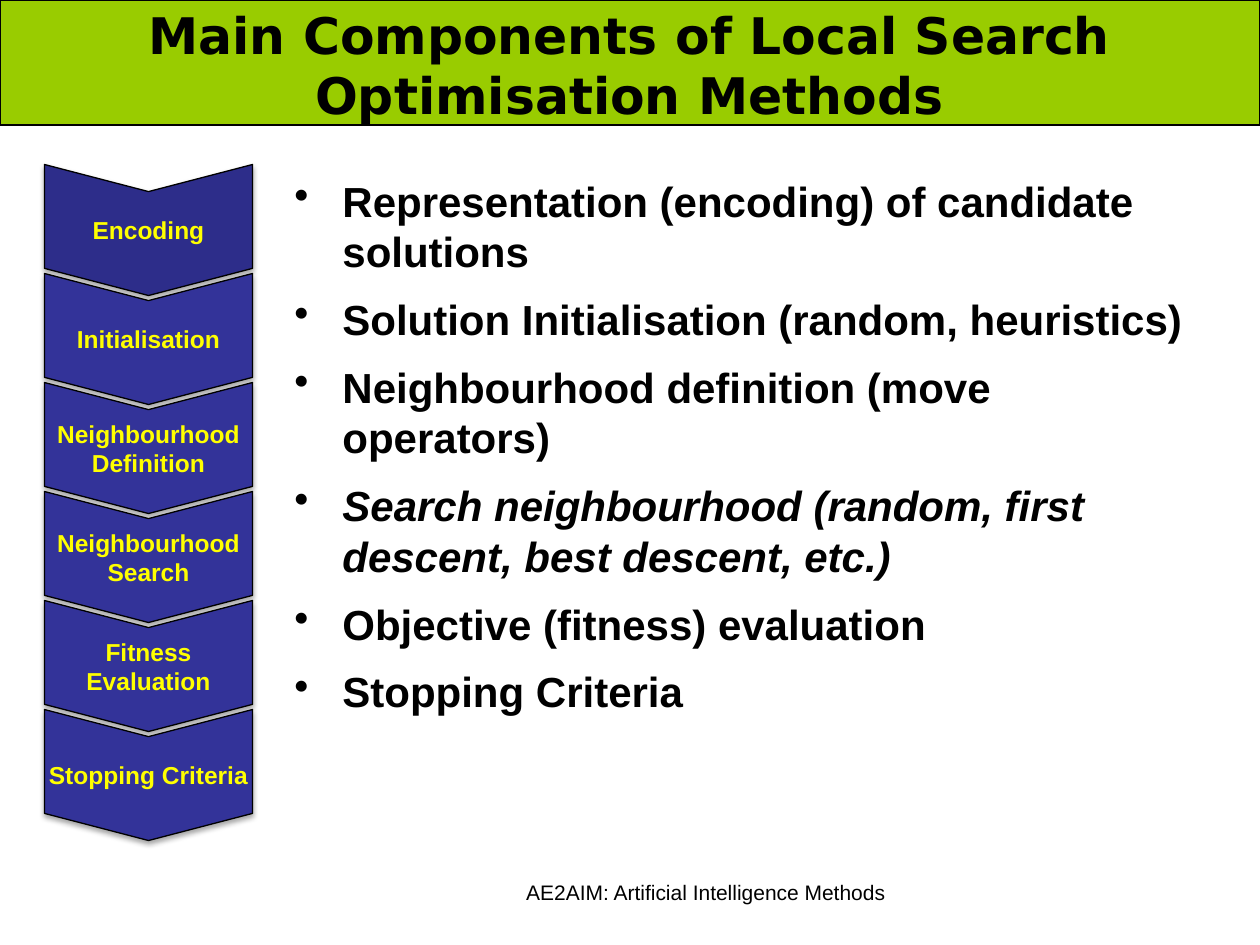
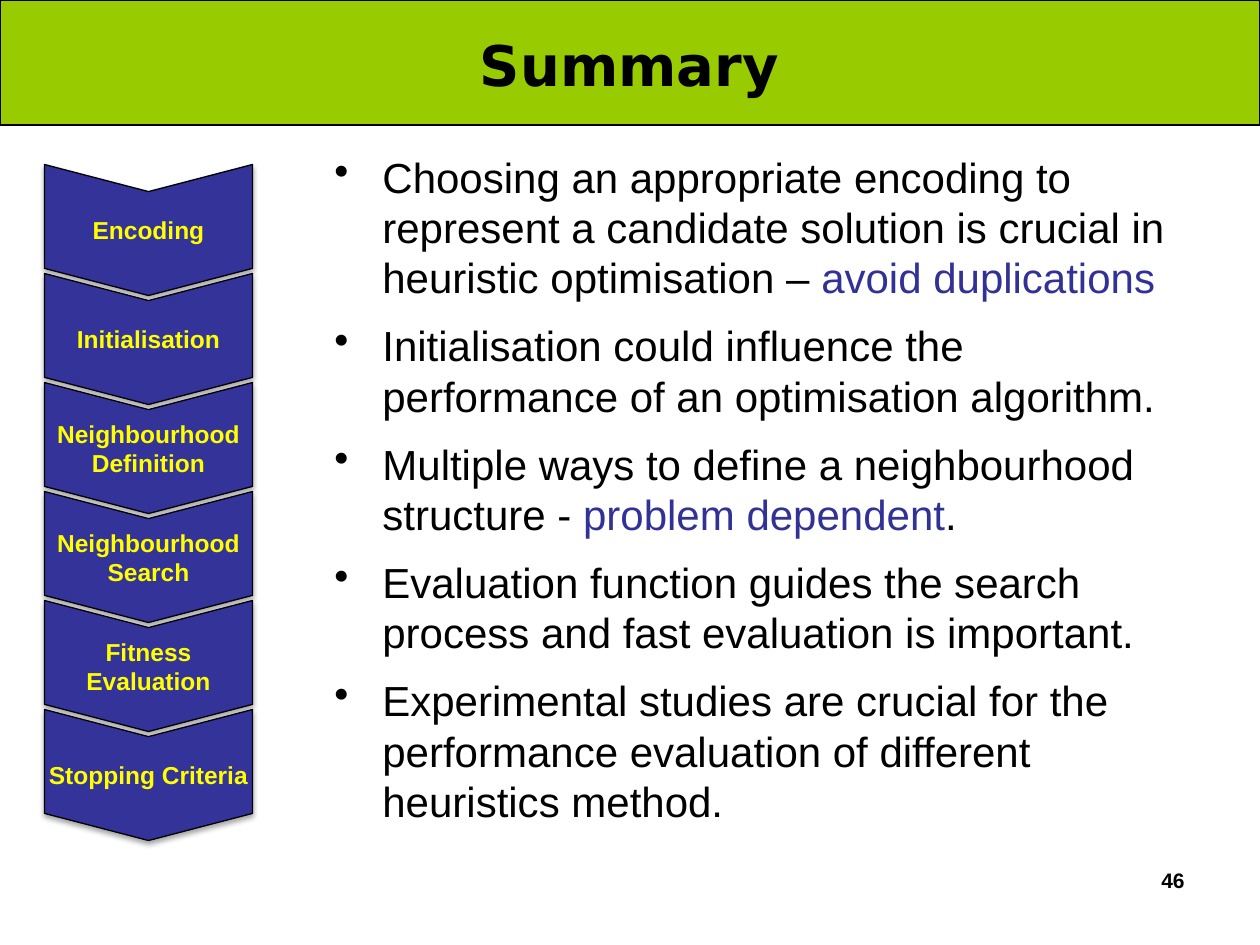
from lxml import etree
from pptx import Presentation
from pptx.dml.color import RGBColor as RGB
from pptx.enum.shapes import MSO_SHAPE as SHAPE
from pptx.enum.text import MSO_ANCHOR as ANCHOR, PP_ALIGN as ALIGN
from pptx.oxml import parse_xml
from pptx.oxml.ns import nsdecls, qn
from pptx.util import Pt

PX = 914400 / 126
LIME = RGB(0x99, 0xCC, 0x00)
NAVY = RGB(0x2D, 0x2D, 0x8A)
BLUE = RGB(0x33, 0x33, 0x99)
TERM = RGB(0x32, 0x32, 0x96)
GOLD = RGB(0xFF, 0xFF, 0x00)
BLACK = RGB(0, 0, 0)
SHADOW = (
    f'<a:effectLst {nsdecls("a")}><a:outerShdw blurRad="39370" dist="22860" '
    'dir="5400000" rotWithShape="0"><a:srgbClr val="000000">'
    '<a:alpha val="35000"/></a:srgbClr></a:outerShdw></a:effectLst>'
)

STEPS = ["Encoding", "Initialisation", "Neighbourhood Definition",
         "Neighbourhood Search", "Fitness Evaluation", "Stopping Criteria"]

PAGES = [
    dict(
        title="Main Components of Local Search Optimisation Methods",
        size=28.8, first=NAVY, body=(282, 169, 916, 704),
        bold=True, slant=True, tint=BLACK,
        points=[
            "Representation (encoding) of candidate solutions",
            "Solution Initialisation (random, heuristics)",
            "Neighbourhood definition (move operators)",
            "|Search neighbourhood (random, first descent, best descent, etc.)",
            "Objective (fitness) evaluation",
            "Stopping Criteria",
        ],
        foot="AE2AIM: Artificial Intelligence Methods",
        place=(359, 873, 694, 66), align=ALIGN.CENTER, heavy=False,
    ),
    dict(
        title="Summary",
        size=32, first=BLUE, body=(322, 145, 876, 704),
        bold=False, slant=False, tint=TERM,
        points=[
            "Choosing an appropriate encoding to represent a candidate solution "
            "is crucial in heuristic optimisation – |avoid duplications",
            "Initialisation could influence the performance of an optimisation algorithm.",
            "Multiple ways to define a neighbourhood structure - |problem dependent|.",
            "Evaluation function guides the search process and fast evaluation is important.",
            "Experimental studies are crucial for the performance evaluation of "
            "different heuristics method.",
        ],
        foot="46",
        place=(903, 861, 294, 63), align=ALIGN.RIGHT, heavy=True,
    ),
]


def px(*sides):
    return [round(side * PX) for side in sides]


def write(shape, lines, size, color=BLACK, font="Arial", bold=False,
          align=ALIGN.LEFT, anchor=ANCHOR.TOP, bullet=False,
          tint=BLACK, slant=False):
    frame = shape.text_frame
    frame.word_wrap = True
    frame.vertical_anchor = anchor
    for n, line in enumerate(lines):
        para = frame.add_paragraph() if n else frame.paragraphs[0]
        para.alignment = align
        if bullet:
            props = para._p.get_or_add_pPr()
            inset = px(48)[0]
            props.set("marL", str(inset))
            props.set("indent", str(-inset))
            etree.SubElement(props, qn("a:buChar")).set("char", "•")
            if n:
                para.space_before = Pt(10)
        for k, part in enumerate(line.split("|")):
            if part:
                run = para.add_run()
                run.text = part
                run.font.name = font
                run.font.size = Pt(size)
                run.font.bold = bold
                run.font.italic = slant and k % 2 == 1
                run.font.color.rgb = tint if k % 2 else color


deck = Presentation()
deck.slide_width, deck.slide_height = px(1260, 945)

for page in PAGES:
    slide = deck.slides.add_slide(deck.slide_layouts[6])
    shapes = slide.shapes

    band = shapes.add_shape(SHAPE.RECTANGLE, *px(0, 0, 1260, 125))
    band.shadow.inherit = False
    band.fill.solid()
    band.fill.fore_color.rgb = LIME
    band.line.color.rgb = BLACK
    band.line.width = Pt(0.75)

    title = shapes.add_textbox(*px(44, 3, 1171, 123))
    write(title, [page["title"]], page["size"], font="DejaVu Sans", bold=True,
          align=ALIGN.CENTER, anchor=ANCHOR.MIDDLE)

    body = shapes.add_textbox(*px(*page["body"]))
    write(body, page["points"], 24, bold=page["bold"], bullet=True,
          tint=page["tint"], slant=page["slant"])

    foot = shapes.add_textbox(*px(*page["place"]))
    write(foot, [page["foot"]], 12, bold=page["heavy"], align=page["align"])

    chain = shapes.add_group_shape()
    for n, step in enumerate(STEPS):
        link = chain.shapes.add_shape(SHAPE.CHEVRON, *px(83, 126 + 109 * n, 131, 208))
        link.adjustments[0] = 0.207
        link.rotation = 90
        link.fill.solid()
        link.fill.fore_color.rgb = BLUE if n else page["first"]
        link.line.color.rgb = BLACK
        link.line.width = Pt(0.75)
        link._element.spPr.append(parse_xml(SHADOW))
        frame = link.text_frame
        frame.margin_left = frame.margin_right = 0
        frame.margin_top = frame.margin_bottom = 0
        frame._txBody.bodyPr.set("vert", "vert270")
        write(link, [step], 14, color=GOLD, bold=True,
              align=ALIGN.CENTER, anchor=ANCHOR.MIDDLE)

deck.save("out.pptx")
